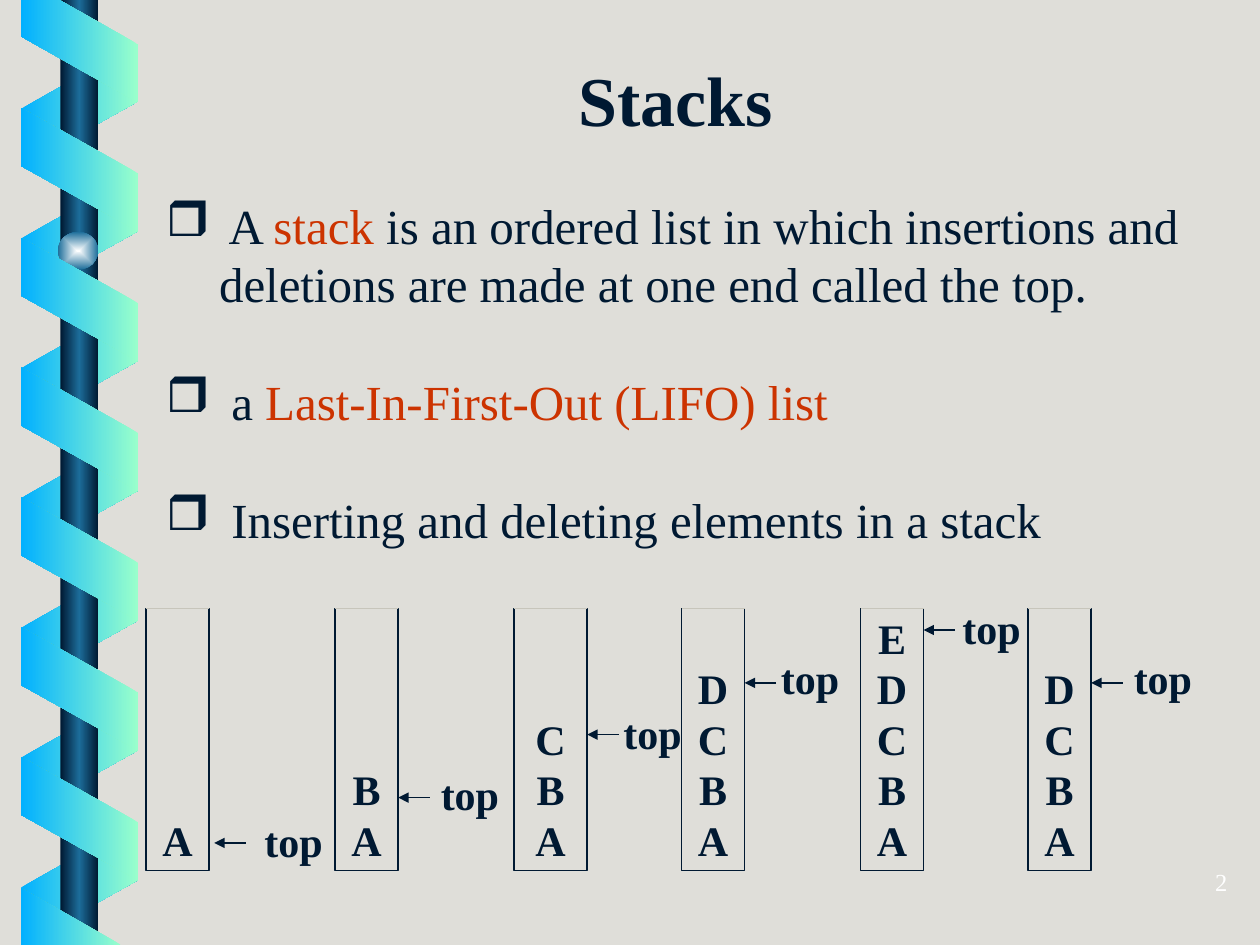
from pptx import Presentation
from pptx.dml.color import RGBColor
from pptx.enum.shapes import MSO_CONNECTOR, MSO_SHAPE
from pptx.enum.text import MSO_ANCHOR, PP_ALIGN
from pptx.oxml import parse_xml
from pptx.oxml.ns import nsdecls, qn
from pptx.util import Inches, Pt

RECTANGLE, OVAL, PARALLELOGRAM = MSO_SHAPE.RECTANGLE, MSO_SHAPE.OVAL, MSO_SHAPE.PARALLELOGRAM
STRAIGHT = MSO_CONNECTOR.STRAIGHT
LEFT, CENTER, RIGHT = PP_ALIGN.LEFT, PP_ALIGN.CENTER, PP_ALIGN.RIGHT
BOTTOM = MSO_ANCHOR.BOTTOM

FONT = "Times New Roman"
COLORS = {
    "background": "DFDED9", "ink": "001932", "accent": "CC3300", "rim": "C7C5BB",
    "blue": "01B0FF", "mint": "99FFCC", "steel": "1C6D9A", "glow": "FEFFFF", "white": "FFFFFF",
}
COLOR = {name: RGBColor.from_string(value) for name, value in COLORS.items()}


def paint_gradient(shape, names, direction):
    """Fill a shape with evenly spaced stops and no outline."""
    shape.shadow.inherit = False
    shape.line.fill.background()
    shape.fill.gradient()
    gradient = shape._element.spPr.find(qn("a:gradFill"))
    gradient.set("rotWithShape", "0")
    for child in list(gradient):
        gradient.remove(child)
    stops = "".join(
        f'<a:gs pos="{100000 * i // (len(names) - 1)}"><a:srgbClr val="{COLORS[name]}"/></a:gs>'
        for i, name in enumerate(names))
    gradient.append(parse_xml(f'<a:gsLst {nsdecls("a")}>{stops}</a:gsLst>'))
    gradient.append(parse_xml(direction))


def style_text(paragraph, size, color="ink", bold=False, align=LEFT):
    paragraph.alignment = align
    for run in paragraph.runs:
        run.font.name = FONT
        run.font.size = Pt(size)
        run.font.bold = bold
        run.font.color.rgb = COLOR[color]


presentation = Presentation()
presentation.slide_width, presentation.slide_height = Inches(10), Inches(7.5)
slide = presentation.slides.add_slide(presentation.slide_layouts[6])
slide.background.fill.solid()
slide.background.fill.fore_color.rgb = COLOR["background"]
shapes = slide.shapes

LEFTWARD = f'<a:lin {nsdecls("a")} ang="10800000" scaled="0"/>'
FROM_CENTER = (f'<a:path {nsdecls("a")} path="rect">'
               '<a:fillToRect l="50000" t="50000" r="50000" b="50000"/></a:path>')
TURN = 1.03  # height of one turn of the ribbon

# Ribbon behind the pole
for turn in range(7):
    band = shapes.add_shape(PARALLELOGRAM, Inches(0.14), Inches(0.37 + TURN * turn),
                            Inches(0.98), Inches(0.93))
    band.adjustments[0] = 0.56
    band.rotation = 90
    band._element.spPr.xfrm.set("flipH", "1")
    paint_gradient(band, ["blue", "mint"], LEFTWARD)

# Pole and bead
pole = shapes.add_shape(RECTANGLE, Inches(0.48), 0, Inches(0.3), Inches(7.5))
paint_gradient(pole, ["ink", "steel", "ink"], LEFTWARD)
bead = shapes.add_shape(OVAL, Inches(0.46), Inches(1.84), Inches(0.32), Inches(0.3))
paint_gradient(bead, ["glow", "steel"], FROM_CENTER)

# Ribbon in front of the pole, cut off at both slide edges
for turn in range(6):
    band = shapes.add_shape(PARALLELOGRAM, Inches(0.14), Inches(0.88 + TURN * turn),
                            Inches(0.98), Inches(0.93))
    band.adjustments[0] = 0.56
    band.rotation = 270
    paint_gradient(band, ["mint", "blue"], LEFTWARD)

ribbon_ends = [
    [(0.17, 0), (0.17, 0.29), (1.09, 0.81), (1.09, 0.35), (0.47, 0)],
    [(0.96, 7.5), (0.17, 7.05), (0.17, 7.5)],
]
for points in ribbon_ends:
    corners = [(Inches(x), Inches(y)) for x, y in points]
    builder = shapes.build_freeform(*corners[0])
    builder.add_line_segments(corners[1:], close=True)
    paint_gradient(builder.convert_to_shape(), ["mint", "blue"], LEFTWARD)

# Stacks: left, width, elements, arrow tip x, arrow y, label left, label top
STACK_TOP, STACK_HEIGHT = 4.83, 2.08
stacks = [
    (1.16, 0.5, "A", 1.7, 6.69, 2, 6.42),
    (2.66, 0.5, "BA", 3.16, 6.33, 3.4, 6.05),
    (4.08, 0.58, "CBA", 4.66, 5.83, 4.85, 5.57),
    (5.41, 0.5, "DCBA", 5.91, 5.42, 6.1, 5.13),
    (6.83, 0.5, "EDCBA", 7.33, 5, 7.54, 4.73),
    (8.16, 0.5, "DCBA", 8.66, 5.42, 8.9, 5.13),
]
for left, width, elements, tip, arrow_y, label_left, label_top in stacks:
    stack = shapes.add_shape(RECTANGLE, Inches(left), Inches(STACK_TOP),
                             Inches(width), Inches(STACK_HEIGHT))
    stack.shadow.inherit = False
    stack.fill.background()
    stack.line.color.rgb = COLOR["ink"]
    stack.line.width = Pt(0.75)
    stack.text_frame.text = "\n".join(elements)
    stack.text_frame.word_wrap = False
    stack.text_frame.vertical_anchor = BOTTOM
    for paragraph in stack.text_frame.paragraphs:
        style_text(paragraph, 24, bold=True, align=CENTER)

    # Light rim, then the arrow to the top element
    for start, end, y, color in [(left, left + width, STACK_TOP, "rim"),
                                 (tip + 0.25, tip, arrow_y, "ink")]:
        line = shapes.add_connector(STRAIGHT, Inches(start), Inches(y), Inches(end), Inches(y))
        line.line.color.rgb = COLOR[color]
        line.line.width = Pt(0.75)
        line._element.spPr.append(parse_xml(f'<a:effectLst {nsdecls("a")}/>'))
    line.line._get_or_add_ln().append(parse_xml(f'<a:tailEnd {nsdecls("a")} type="triangle"/>'))

    label = shapes.add_textbox(Inches(label_left), Inches(label_top), Inches(0.66), Inches(0.5))
    label.text_frame.word_wrap = False
    label.text_frame.text = "top"
    style_text(label.text_frame.paragraphs[0], 24, bold=True)

# Bulleted text, with accented parts marked by colour
bullets = [
    [(" A ", "ink"), ("stack", "accent"),
     (" is an ordered list in which insertions and deletions are made at one end called the top.",
      "ink")],
    [(" a ", "ink"), ("Last-In-First-Out (LIFO) list", "accent")],
    [(" Inserting and deleting elements in a stack", "ink")],
]
body = shapes.add_textbox(Inches(1.22), Inches(1.5), Inches(8.78), Inches(2.9))
body.text_frame.word_wrap = True
for index, parts in enumerate(bullets):
    paragraph = body.text_frame.paragraphs[0] if index == 0 else body.text_frame.add_paragraph()
    properties = paragraph._p.get_or_add_pPr()
    properties.set("marL", str(Inches(0.42)))
    properties.set("indent", str(-Inches(0.42)))
    properties.append(parse_xml(
        f'<a:buClr {nsdecls("a")}><a:srgbClr val="{COLORS["ink"]}"/></a:buClr>'))
    properties.append(parse_xml(f'<a:buChar {nsdecls("a")} char="❒"/>'))
    for text, color in parts:
        paragraph.add_run().text = text
    style_text(paragraph, 28)
    for run, (text, color) in zip(paragraph.runs, parts):
        run.font.color.rgb = COLOR[color]
    if index:
        paragraph.space_before = Pt(33.6)

# Title and slide number
for text, left, top, width, height, size, color, bold, align in [
        ("Stacks", 1.13, 0.4, 8.47, 0.77, 40, "ink", True, CENTER),
        ("2", 9.24, 6.83, 0.6, 0.35, 14, "white", False, RIGHT)]:
    box = shapes.add_textbox(Inches(left), Inches(top), Inches(width), Inches(height))
    box.text_frame.word_wrap = True
    box.text_frame.text = text
    style_text(box.text_frame.paragraphs[0], size, color, bold, align)

presentation.save("out.pptx")
